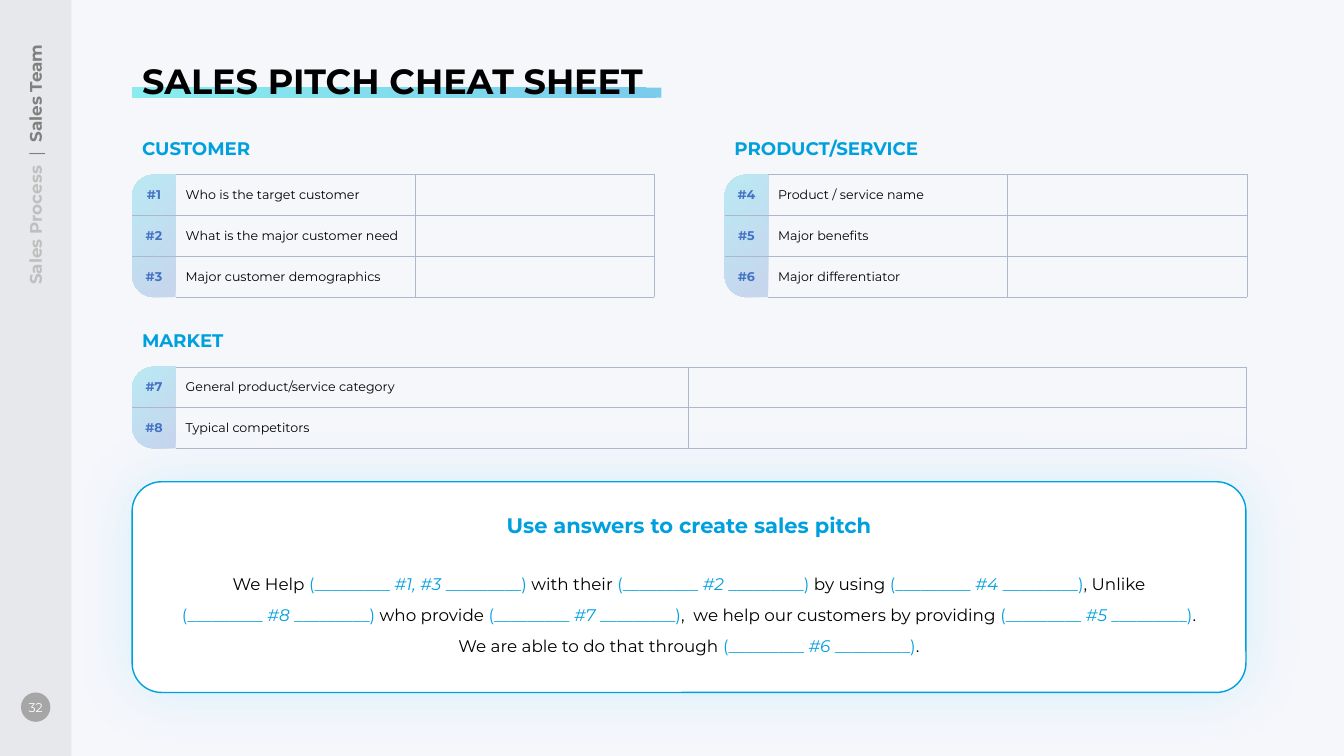
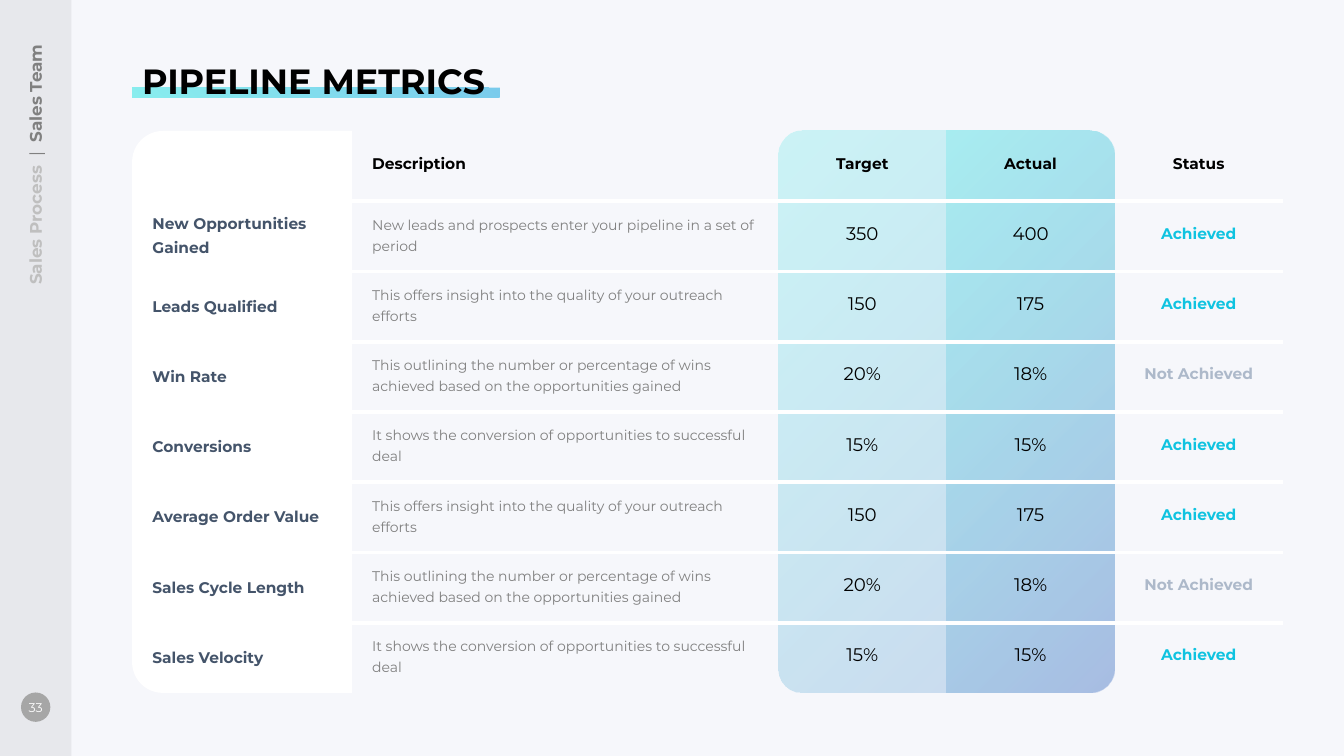
from dataclasses import dataclass

from lxml.etree import SubElement
from pptx import Presentation
from pptx.dml.color import RGBColor
from pptx.enum.shapes import MSO_SHAPE
from pptx.enum.text import MSO_ANCHOR, PP_ALIGN
from pptx.oxml.ns import qn
from pptx.util import Cm, Pt

FONT = "Montserrat"
COLORS = {
    "background": "F6F7FB", "band": "404040", "badge": "A6A6A6", "white": "FFFFFF",
    "black": "000000", "section": "BFBFBF", "gray": "808080", "aqua": "1DE5E2",
    "sky": "00A0DE", "cyan": "0FC3E0", "blue": "4472C4", "mist": "ADB9CA",
    "slate": "44546A", "glow": "52CFFF",
}
NO_TABLE_STYLE = "{2D5ABB26-0587-4C30-8999-92F81FD0307C}"
LEFT = 3.33
CONTENT_WIDTH = 28.07
TABLE_TOP = 3.3


@dataclass(frozen=True)
class Frame:
    left: float
    top: float
    width: float
    height: float

    def lengths(self) -> tuple:
        return Cm(self.left), Cm(self.top), Cm(self.width), Cm(self.height)

    def turned(self) -> "Frame":
        shift = (self.width - self.height) / 2
        return Frame(self.left + shift, self.top - shift, self.height, self.width)


@dataclass(frozen=True)
class Gradient:
    start: str
    start_alpha: int
    end: str
    end_alpha: int
    focus: tuple = ("r", "b")


@dataclass(frozen=True)
class TextStyle:
    size: float
    color: str
    bold: bool = False
    align: PP_ALIGN = PP_ALIGN.LEFT
    spacing: float | None = None
    margins: tuple = (0.25, 0.13, 0.25, 0.13)


@dataclass(frozen=True)
class QuestionGroup:
    heading: str
    left: float
    top: float
    columns: tuple
    first_number: int
    questions: tuple


@dataclass(frozen=True)
class Metric:
    name: str
    description: str
    target: str
    actual: str
    achieved: bool = True


TITLE = TextStyle(25, "black", True)
HEADING = TextStyle(13, "sky", True)
PITCH_HEADING = TextStyle(15, "sky", True, PP_ALIGN.CENTER)
PAGE = TextStyle(9, "white", align=PP_ALIGN.CENTER, margins=(0, 0.13, 0, 0.13))
NUMBER = TextStyle(9, "blue", True, PP_ALIGN.CENTER)
QUESTION = TextStyle(9, "black")

CENTERED = (0.25, 0, 0.25, 0.13)
INDENTED = (0.51, 0, 0.51, 0.13)
COLUMN_HEAD = TextStyle(11, "black", True, PP_ALIGN.CENTER, margins=CENTERED)
DESCRIPTION_HEAD = TextStyle(11, "black", True, margins=INDENTED)
METRIC_NAME = TextStyle(11, "slate", True, spacing=17, margins=(0.51, 0, 0.25, 0.13))
DESCRIPTION = TextStyle(10, "gray", spacing=15, margins=INDENTED)
VALUE = TextStyle(13, "black", align=PP_ALIGN.CENTER, margins=CENTERED)
ACHIEVED = TextStyle(11, "cyan", True, PP_ALIGN.CENTER, margins=CENTERED)
MISSED = TextStyle(11, "mist", True, PP_ALIGN.CENTER, margins=CENTERED)

UNDERLINE = Gradient("aqua", 50, "sky", 50, ("t", "r"))
NUMBER_TINT = Gradient("cyan", 25, "blue", 25)
VALUE_TINT = Gradient("aqua", 20, "blue", 25)

GROUPS = (
    QuestionGroup("CUSTOMER", LEFT, 3.33, (1.1, 6.03, 6.03), 1, (
        "Who is the target customer", "What is the major customer need",
        "Major customer demographics")),
    QuestionGroup("PRODUCT/SERVICE", 18.26, 3.33, (1.1, 6.03, 6.03), 4, (
        "Product / service name", "Major benefits", "Major differentiator")),
    QuestionGroup("MARKET", LEFT, 8.17, (1.1, 12.92, 14.05), 7, (
        "General product/service category", "Typical competitors")),
)
PITCH = (
    "We Help {#1, #3} with their {#2} by using {#4}, Unlike",
    "{#8} who provide {#7},  we help our customers by providing {#5}.",
    "We are able to do that through {#6}.",
)
INSIGHT = "This offers insight into the quality of your outreach efforts"
WINS = "This outlining the number or percentage of wins achieved based on the opportunities gained"
CONVERSION = "It shows the conversion of opportunities to successful deal"
METRICS = (
    Metric("New Opportunities Gained",
           "New leads and prospects enter your pipeline in a set of period", "350", "400"),
    Metric("Leads Qualified", INSIGHT, "150", "175"),
    Metric("Win Rate", WINS, "20%", "18%", False),
    Metric("Conversions", CONVERSION, "15%", "15%"),
    Metric("Average Order Value", INSIGHT, "150", "175"),
    Metric("Sales Cycle Length", WINS, "20%", "18%", False),
    Metric("Sales Velocity", CONVERSION, "15%", "15%"),
)


def rgb(color: str) -> RGBColor:
    return RGBColor.from_string(COLORS[color])


def add_color(parent, color: str, alpha: int) -> None:
    element = SubElement(parent, qn("a:srgbClr"), val=COLORS[color])
    SubElement(element, qn("a:alpha"), val=str(alpha * 1000))


def format_run(run, size: float, color: str, bold: bool = False, italic: bool = False) -> None:
    run.font.name, run.font.size = FONT, Pt(size)
    run.font.bold, run.font.italic = bold, italic
    run.font.color.rgb = rgb(color)


def write(text_frame, text: str, style: TextStyle) -> None:
    text_frame.text = text
    paragraph = text_frame.paragraphs[0]
    paragraph.alignment = style.align
    if style.spacing:
        paragraph.line_spacing = Pt(style.spacing)
    for run in paragraph.runs:
        format_run(run, style.size, style.color, style.bold)


def set_margins(holder, margins: tuple) -> None:
    for side, margin in zip(("left", "top", "right", "bottom"), margins):
        setattr(holder, f"margin_{side}", Cm(margin))


def add_text(slide, frame: Frame, text: str, style: TextStyle, anchor=MSO_ANCHOR.TOP):
    box = slide.shapes.add_textbox(*frame.lengths())
    set_margins(box.text_frame, style.margins)
    box.text_frame.vertical_anchor = anchor
    write(box.text_frame, text, style)
    return box


def add_block(slide, kind, frame: Frame, fill: str | Gradient, alpha: int = 100,
              adjustments: tuple = (), rotation: int = 0):
    placed = frame.turned() if rotation else frame
    shape = slide.shapes.add_shape(kind, *placed.lengths())
    shape.rotation = rotation
    shape.shadow.inherit = False
    shape.line.fill.background()
    for index, value in enumerate(adjustments):
        shape.adjustments[index] = value
    if isinstance(fill, Gradient):
        shape.fill.gradient()
        gradient = shape.element.spPr.find(qn("a:gradFill"))
        gradient.set("rotWithShape", "0")
        for child in list(gradient):
            gradient.remove(child)
        stops = SubElement(gradient, qn("a:gsLst"))
        for position, color, opacity in ((0, fill.start, fill.start_alpha),
                                         (100000, fill.end, fill.end_alpha)):
            add_color(SubElement(stops, qn("a:gs"), pos=str(position)), color, opacity)
        circle = SubElement(gradient, qn("a:path"), path="circle")
        SubElement(circle, qn("a:fillToRect"), {side: "100000" for side in fill.focus})
    else:
        shape.fill.solid()
        shape.fill.fore_color.rgb = rgb(fill)
        if alpha < 100:
            color = shape.element.spPr.find(qn("a:solidFill"))[0]
            SubElement(color, qn("a:alpha"), val=str(alpha * 1000))
    return shape


def add_grid(slide, left: float, top: float, columns: tuple, row_count: int, row_height: float):
    frame = Frame(left, top, sum(columns), row_count * row_height)
    graphic = slide.shapes.add_table(row_count, len(columns), *frame.lengths())
    table = graphic.table
    table.first_row = table.horz_banding = False
    for style_id in graphic.element.iter(qn("a:tableStyleId")):
        style_id.text = NO_TABLE_STYLE
    for column, width in zip(table.columns, columns):
        column.width = Cm(width)
    for row in table.rows:
        row.height = Cm(row_height)
    return table


def fill_cell(cell, text: str, style: TextStyle, sides: str, color: str, width: float) -> None:
    cell.vertical_anchor = MSO_ANCHOR.MIDDLE
    set_margins(cell, style.margins)
    cell.fill.background()
    write(cell.text_frame, text, style)
    if not text:
        SubElement(cell.text_frame.paragraphs[0]._p, qn("a:endParaRPr"), sz=str(style.size * 100))
    properties = cell._tc.get_or_add_tcPr()
    for index, side in enumerate("LRTB"):
        line = SubElement(properties, qn(f"a:ln{side}"), w=str(Pt(width)))
        if side in sides:
            fill = SubElement(line, qn("a:solidFill"))
            SubElement(fill, qn("a:srgbClr"), val=COLORS[color])
        else:
            SubElement(line, qn("a:noFill"))
        properties.insert(index, line)


def build_layout(layout, slide) -> None:
    layout.background.fill.solid()
    layout.background.fill.fore_color.rgb = rgb("background")
    for placeholder in list(layout.placeholders)[1:]:
        placeholder.element.getparent().remove(placeholder.element)
    band = add_block(slide, MSO_SHAPE.RECTANGLE, Frame(0, 0, 1.8, 19.05), "band", 8)
    badge = add_block(slide, MSO_SHAPE.OVAL, Frame(0.53, 17.45, 0.74, 0.74), "badge")
    for shape in (band, badge):
        layout.shapes.element.append(shape.element)


def add_frame(slide, title: str, title_width: float, page: int) -> None:
    bar = add_block(slide, MSO_SHAPE.RECTANGLE, Frame(LEFT, 2.21, title_width, 0.25), UNDERLINE)
    slide.shapes.element.insert(2, bar.element)
    heading = slide.shapes.title
    heading.left, heading.top, heading.width, heading.height = Frame(
        LEFT, 1.37, title_width, 1.32).lengths()
    heading.text_frame.word_wrap = False
    heading.text_frame.vertical_anchor = MSO_ANCHOR.TOP
    set_margins(heading.text_frame, TITLE.margins)
    write(heading.text_frame, title, TITLE)
    add_text(slide, Frame(0.53, 17.45, 0.74, 0.74), str(page), PAGE, MSO_ANCHOR.MIDDLE)
    section = slide.shapes.add_textbox(*Frame(-2.51, 3.89, 6.81, 0.77).lengths())
    section.rotation = 270
    section.text_frame.word_wrap = False
    paragraph = section.text_frame.paragraphs[0]
    paragraph.alignment = PP_ALIGN.RIGHT
    for text, color, bold in (("Sales Process  ", "section", True), ("|  ", "gray", False),
                              ("Sales Team", "gray", True)):
        run = paragraph.add_run()
        run.text = text
        format_run(run, 12, color, bold)


def add_questions(slide, group: QuestionGroup) -> None:
    row_height, table_top = 1.03, group.top + 1.07
    count = len(group.questions)
    add_block(slide, MSO_SHAPE.ROUND_2_SAME_RECTANGLE,
              Frame(group.left, table_top, group.columns[0], count * row_height),
              NUMBER_TINT, adjustments=(0.5, 0), rotation=270)
    table = add_grid(slide, group.left, table_top, group.columns, count, row_height)
    for row, question in enumerate(group.questions):
        number_sides = ("T" if row else "") + ("B" if row < count - 1 else "")
        fill_cell(table.cell(row, 0), f"#{group.first_number + row}", NUMBER,
                  number_sides, "mist", 0.25)
        fill_cell(table.cell(row, 1), question, QUESTION, "RTB", "mist", 0.25)
        fill_cell(table.cell(row, 2), "", QUESTION, "LRTB", "mist", 0.25)
    add_text(slide, Frame(group.left, group.top, 6, 0.81), group.heading, HEADING)


def add_pitch(slide) -> None:
    panel = add_block(slide, MSO_SHAPE.ROUNDED_RECTANGLE,
                      Frame(LEFT, 12.14, CONTENT_WIDTH, 5.31), "white", adjustments=(0.14,))
    panel.line.color.rgb = rgb("sky")
    panel.line.width = Pt(1)
    effects = panel.element.spPr.find(qn("a:effectLst"))
    glow = SubElement(effects, qn("a:outerShdw"), blurRad=str(Pt(41)), algn="ctr", rotWithShape="0")
    add_color(glow, "glow", 20)
    text_frame = panel.text_frame
    text_frame.word_wrap = True
    text_frame.vertical_anchor = MSO_ANCHOR.MIDDLE
    set_margins(text_frame, (0.25, 1.27, 0.25, 0.13))
    for index, sentence in enumerate(PITCH):
        paragraph = text_frame.add_paragraph() if index else text_frame.paragraphs[0]
        paragraph.alignment = PP_ALIGN.CENTER
        paragraph.line_spacing = Pt(22)
        opening, *blanks = sentence.split("{")
        pieces = [(opening, "black", False)]
        for blank in blanks:
            label, _, following = blank.partition("}")
            pieces += [("(_________ ", "sky", False), (label, "sky", True),
                       (" _________)", "sky", False), (following, "black", False)]
        for text, color, italic in pieces:
            if text:
                run = paragraph.add_run()
                run.text = text
                format_run(run, 12, color, italic=italic)
    add_text(slide, Frame(LEFT, 12.78, CONTENT_WIDTH, 0.89),
             "Use answers to create sales pitch", PITCH_HEADING)


def add_metrics(slide) -> None:
    columns, row_height = (5.54, 10.74, 4.24, 4.24, 4.24), 1.77
    height = row_height * (len(METRICS) + 1)
    target_left = LEFT + sum(columns[:2])
    add_block(slide, MSO_SHAPE.ROUND_2_SAME_RECTANGLE, Frame(LEFT, TABLE_TOP, columns[0], height),
              "white", adjustments=(0.14, 0), rotation=270)
    add_block(slide, MSO_SHAPE.ROUNDED_RECTANGLE,
              Frame(target_left, TABLE_TOP, sum(columns[2:4]), height), VALUE_TINT,
              adjustments=(0.07,))
    add_block(slide, MSO_SHAPE.ROUND_2_SAME_RECTANGLE,
              Frame(target_left + columns[2], TABLE_TOP, columns[3], height), VALUE_TINT,
              adjustments=(0.15, 0), rotation=90)
    table = add_grid(slide, LEFT, TABLE_TOP, columns, len(METRICS) + 1, row_height)
    rows = [(("", METRIC_NAME), ("Description", DESCRIPTION_HEAD), ("Target", COLUMN_HEAD),
             ("Actual", COLUMN_HEAD), ("Status", COLUMN_HEAD))]
    for metric in METRICS:
        status = ("Achieved", ACHIEVED) if metric.achieved else ("Not Achieved", MISSED)
        rows.append(((metric.name, METRIC_NAME), (metric.description, DESCRIPTION),
                     (metric.target, VALUE), (metric.actual, VALUE), status))
    for row, cells in enumerate(rows):
        sides = ("T" if row else "") + ("B" if row < len(METRICS) else "")
        for column, (text, style) in enumerate(cells):
            fill_cell(table.cell(row, column), text, style, sides if column else "", "white", 3)


def main() -> None:
    presentation = Presentation()
    presentation.slide_width, presentation.slide_height = Cm(33.87), Cm(19.05)
    layout = presentation.slide_layouts.get_by_name("Title Only")
    pitch_slide = presentation.slides.add_slide(layout)
    build_layout(layout, pitch_slide)
    add_frame(pitch_slide, "SALES PITCH CHEAT SHEET", 13.34, 32)
    for group in GROUPS:
        add_questions(pitch_slide, group)
    add_pitch(pitch_slide)
    metrics_slide = presentation.slides.add_slide(layout)
    add_frame(metrics_slide, "PIPELINE METRICS", 9.27, 33)
    add_metrics(metrics_slide)
    presentation.save("out.pptx")


if __name__ == "__main__":
    main()
